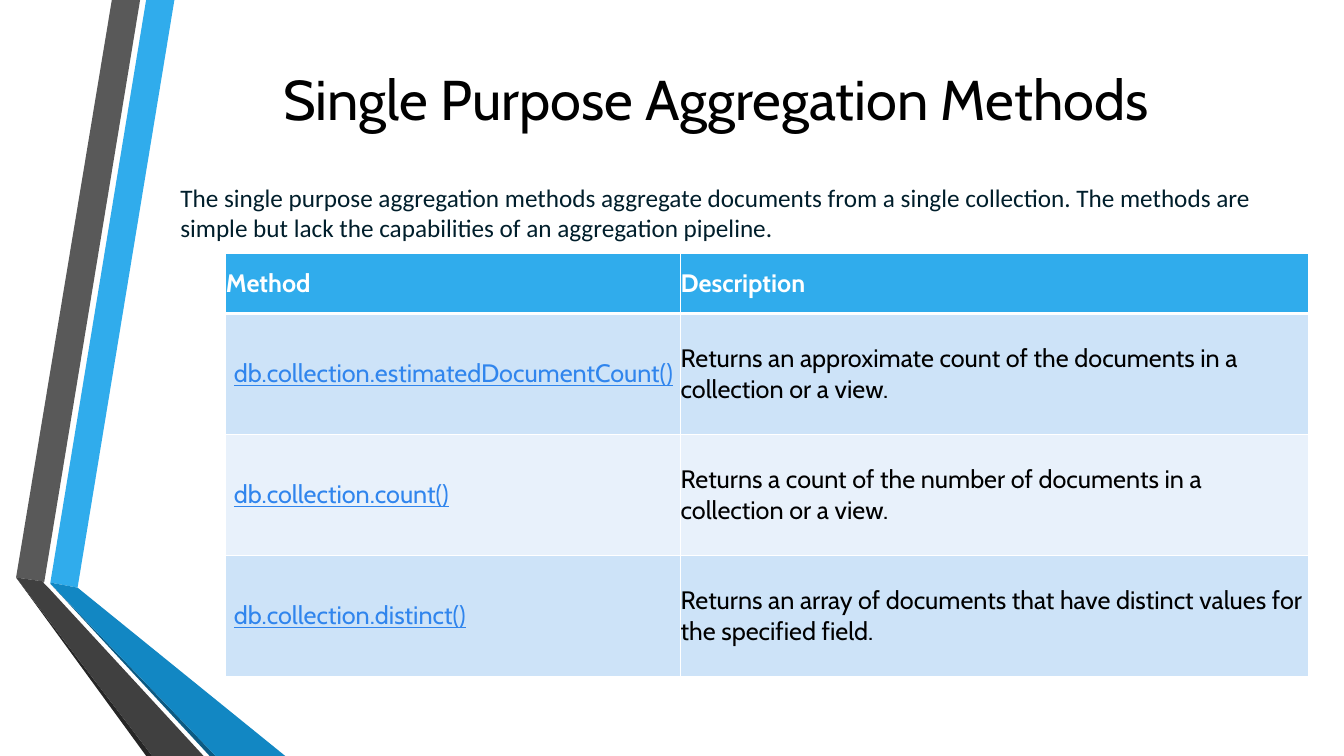
from lxml import etree
from pptx import Presentation
from pptx.dml.color import RGBColor
from pptx.enum.text import MSO_ANCHOR, PP_ALIGN
from pptx.oxml.ns import qn
from pptx.util import Inches, Pt

MIDDLE, TOP = MSO_ANCHOR.MIDDLE, MSO_ANCHOR.TOP
CENTER, LEFT = PP_ALIGN.CENTER, PP_ALIGN.LEFT
WIDE, HIGH = 13.33, 7.5
WHITE, BLACK, BLUE, LINK = "FFFFFF", "000000", "30ACEC", "3085ED"
BANDS = ["CDE3F8", "E8F1FB"]

# Ribbon outlines in inches, back to front
RIBBON = [
    (BLUE, [(0.5, 5.78), (0.77, 5.83), (1.73, 0), (1.45, 0)]),
    ("595959", [(1.39, 0), (1.11, 0), (0.16, 5.73), (0.44, 5.77)]),
    ("262626", [(0.16, 5.73), (1.45, HIGH), (1.51, HIGH)]),
    ("0C5A82", [(0.5, 5.79), (2.08, HIGH), (2.14, HIGH)]),
    ("1287C3", [(0.5, 5.79), (2.14, HIGH), (2.83, HIGH), (0.77, 5.83), (0.5, 5.78)]),
    ("404040", [(2.02, HIGH), (0.48, 5.83), (0.43, 5.78), (0.44, 5.77),
                (0.16, 5.73), (1.51, HIGH)]),
]
HEAD = ("Method", "Description")
METHODS = [
    ("db.collection.estimatedDocumentCount()",
     "Returns an approximate count of the documents in a collection or a view."),
    ("db.collection.count()",
     "Returns a count of the number of documents in a collection or a view."),
    ("db.collection.distinct()",
     "Returns an array of documents that have distinct values for the specified field."),
]
INTRO = ("The single purpose aggregation methods aggregate documents from a single "
         "collection. The methods are simple but lack the capabilities of an "
         "aggregation pipeline.")


def color(code):
    return RGBColor.from_string(code)


def write(frame, text, size, face, code, align=LEFT):
    para = frame.paragraphs[0]
    para.text = text
    para.alignment = align
    font = para.font
    font.size, font.name = Pt(size), face
    font.color.rgb = color(code)
    return font


def add_text(slide, box, text, size, face, code, align=LEFT, inset=0.1):
    shape = slide.shapes.add_textbox(*map(Inches, box))
    frame = shape.text_frame
    frame.word_wrap = True
    frame.vertical_anchor = TOP
    frame.margin_left = frame.margin_right = Inches(inset)
    frame.margin_top = frame.margin_bottom = Inches(inset / 2)
    write(frame, text, size, face, code, align)


def add_ribbon(slide, left, top):
    group = slide.shapes.add_group_shape()
    for code, spots in RIBBON:
        spots = [(Inches(left + x), Inches(top + y)) for x, y in spots]
        draft = group.shapes.build_freeform(*spots[0])
        draft.add_line_segments(spots[1:], close=True)
        band = draft.convert_to_shape()
        band.shadow.inherit = False
        band.fill.solid()
        band.fill.fore_color.rgb = color(code)
        band.line.fill.background()


def add_edges(cell, widths):
    props = cell._tc.get_or_add_tcPr()
    for side, width in widths.items():
        line = etree.SubElement(props, qn(f"a:ln{side}"), w=str(Pt(width)))
        fill = etree.SubElement(line, qn("a:solidFill"))
        etree.SubElement(fill, qn("a:srgbClr"), val=WHITE)


def add_grid(slide, box):
    rows = [HEAD, *METHODS]
    table = slide.shapes.add_table(len(rows), len(HEAD), *map(Inches, box)).table
    wide, high = box[2:]
    for col, share in zip(table.columns, (0.42, 0.58)):
        col.width = Inches(wide * share)
    # The header takes half the height of a method row
    unit = high / (2 * len(rows) - 1)
    for r, texts in enumerate(rows):
        table.rows[r].height = Inches(unit * (2 if r else 1))
        for c, text in enumerate(texts):
            cell = table.cell(r, c)
            link = r > 0 and c == 0
            add_edges(cell, {"L": 1, "R": 1, "T": 3 if r == 1 else 1,
                             "B": 1 if r else 3})
            cell.fill.solid()
            cell.fill.fore_color.rgb = color(BANDS[(r - 1) % 2] if r else BLUE)
            cell.vertical_anchor = MIDDLE
            cell.margin_right = cell.margin_top = cell.margin_bottom = 0
            cell.margin_left = Inches(0.08 if link else 0)
            ink = LINK if link else BLACK if r else WHITE
            font = write(cell.text_frame, text, 18, "Cabin", ink)
            font.bold, font.underline = r == 0, link


def main():
    deck = Presentation()
    deck.slide_width, deck.slide_height = Inches(WIDE), Inches(HIGH)
    slide = deck.slides.add_slide(deck.slide_layouts[6])
    add_ribbon(slide, 0, 0)
    add_text(slide, (1.62, 0.64, 10.96, 1.12), "Single Purpose Aggregation Methods",
             40, "Cabin", BLACK, CENTER, 0)
    add_grid(slide, (2.24, 2.51, 10.74, 4.2))
    add_text(slide, (1.69, 1.76, 11.16, 0.71), INTRO, 18, "Calibri", "001E2B")
    deck.save("out.pptx")


if __name__ == "__main__":
    main()
